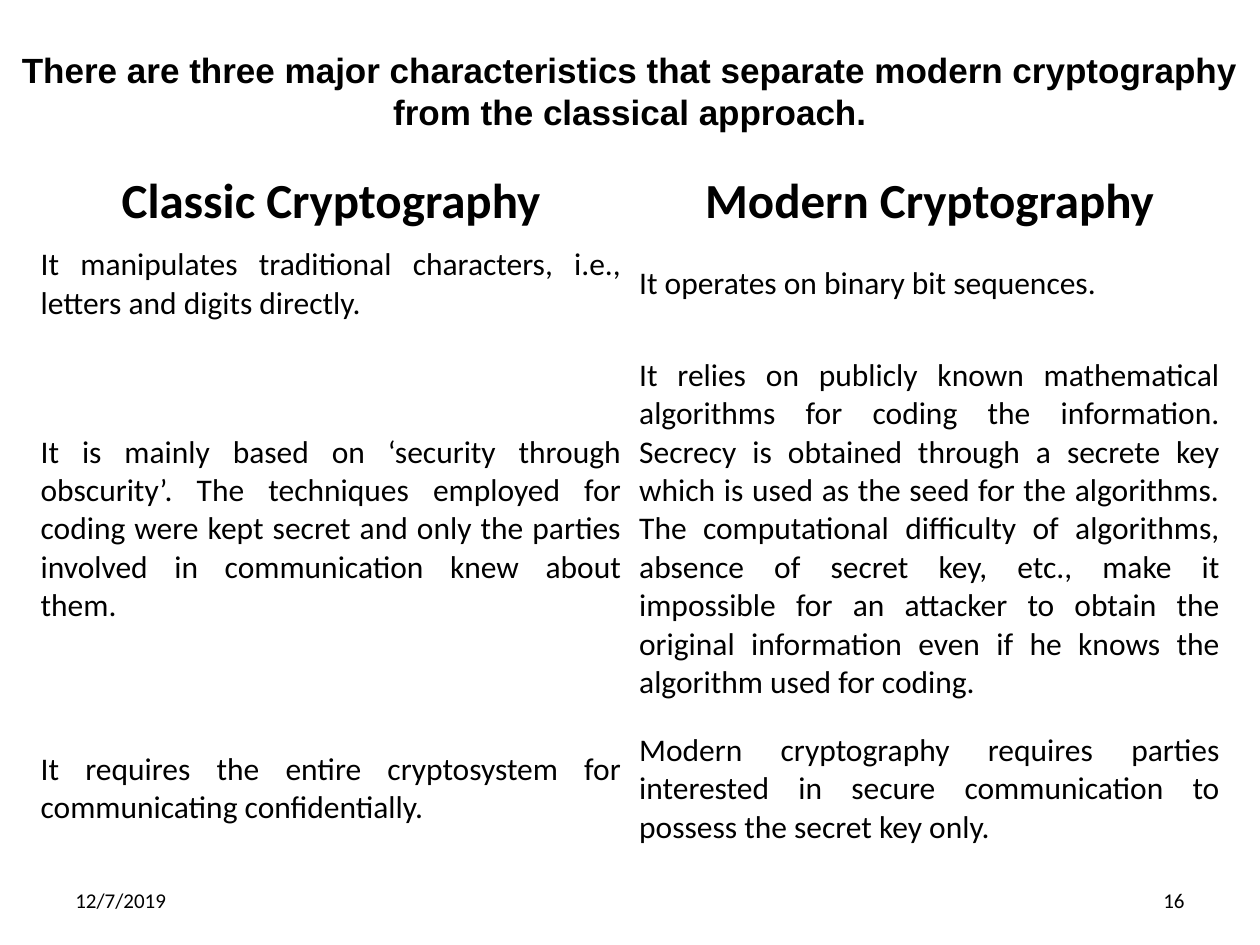
from pptx import Presentation
from pptx.dml.color import RGBColor
from pptx.enum.text import MSO_ANCHOR, MSO_AUTO_SIZE, PP_ALIGN
from pptx.util import Cm, Pt

LEFT, CENTER, RIGHT, JUSTIFY = (
    PP_ALIGN.LEFT, PP_ALIGN.CENTER, PP_ALIGN.RIGHT, PP_ALIGN.JUSTIFY)
MIDDLE = MSO_ANCHOR.MIDDLE
FIT_SHAPE = MSO_AUTO_SIZE.SHAPE_TO_FIT_TEXT
TITLE_ONLY = 5

TITLE_FONT = {"name": "Arial", "size": Pt(20), "bold": True}
HEADING_FONT = {"name": "Calibri", "size": Pt(28), "bold": True}
BODY_FONT = {"name": "Calibri", "size": Pt(18), "bold": False}
FOOTER_FONT = {"name": "Calibri", "size": Pt(12)}

TITLE = ("There are three major characteristics that separate modern "
         "cryptography from the classical approach.")
COMPARISON = [
    ("Classic Cryptography", "Modern Cryptography"),
    ("It manipulates traditional characters, i.e., letters and digits directly.",
     "It operates on binary bit sequences."),
    ("It is mainly based on ‘security through obscurity’. The techniques "
     "employed for coding were kept secret and only the parties involved in "
     "communication knew about them.",
     "It relies on publicly known mathematical algorithms for coding the "
     "information. Secrecy is obtained through a secrete key which is used as "
     "the seed for the algorithms. The computational difficulty of algorithms, "
     "absence of secret key, etc., make it impossible for an attacker to obtain "
     "the original information even if he knows the algorithm used for coding."),
    ("It requires the entire cryptosystem for communicating confidentially.",
     "Modern cryptography requires parties interested in secure communication "
     "to possess the secret key only."),
]
ROW_HEIGHTS = [1.3, 1.98, 7.9, 2.57]


def color(hex_string):
    return RGBColor.from_string(hex_string)


def set_text(frame, text, alignment, font_format):
    paragraph = frame.paragraphs[0]
    paragraph.alignment = alignment
    run = paragraph.add_run()
    run.text = text
    for attribute, value in font_format.items():
        setattr(run.font, attribute, value)
    run.font.color.rgb = color("000000")


def place_title(slide, left, top, width, height):
    title = slide.shapes.title
    box = {"left": left, "top": top, "width": width, "height": height}
    for attribute, value in box.items():
        setattr(title, attribute, Cm(value))
    frame = title.text_frame
    frame.word_wrap = True
    frame.auto_size = FIT_SHAPE
    frame.vertical_anchor = MIDDLE
    set_text(frame, TITLE, CENTER, TITLE_FONT)


def add_comparison(slide, left, top, width, height):
    table = slide.shapes.add_table(
        len(COMPARISON), len(COMPARISON[0]),
        Cm(left), Cm(top), Cm(width), Cm(height)).table
    table.first_row = table.horz_banding = False
    cell_format = {"vertical_anchor": MIDDLE,
                   "margin_left": Cm(0.18), "margin_right": Cm(0.18),
                   "margin_top": Cm(0.08), "margin_bottom": Cm(0.08)}
    for r, (texts, row_height) in enumerate(zip(COMPARISON, ROW_HEIGHTS)):
        table.rows[r].height = Cm(row_height)
        alignment, font_format = (
            (JUSTIFY, BODY_FONT) if r else (CENTER, HEADING_FONT))
        for c, text in enumerate(texts):
            cell = table.cell(r, c)
            cell.fill.background()
            for attribute, value in cell_format.items():
                setattr(cell, attribute, value)
            set_text(cell.text_frame, text, alignment, font_format)


def add_footer(slide, left, top, width, height):
    part_width = 5.92
    parts = [("12/7/2019", left, LEFT),
             ("16", left + width - part_width, RIGHT)]
    for text, part_left, alignment in parts:
        frame = slide.shapes.add_textbox(
            Cm(part_left), Cm(top), Cm(part_width), Cm(height)).text_frame
        frame.word_wrap = True
        frame.vertical_anchor = MIDDLE
        set_text(frame, text, alignment, FOOTER_FONT)


def main():
    deck = Presentation()
    deck.slide_width, deck.slide_height = Cm(25.4), Cm(19.05)
    slide = deck.slides.add_slide(deck.slide_layouts[TITLE_ONLY])

    # Date and slide number
    add_footer(slide, 1.27, 17.65, 22.86, 1.01)
    # Classic against modern
    add_comparison(slide, 0.64, 3.39, 24.13, sum(ROW_HEIGHTS))
    # Heading
    place_title(slide, 0, 0.85, 25.4, 1.96)

    deck.save("out.pptx")


if __name__ == "__main__":
    main()
